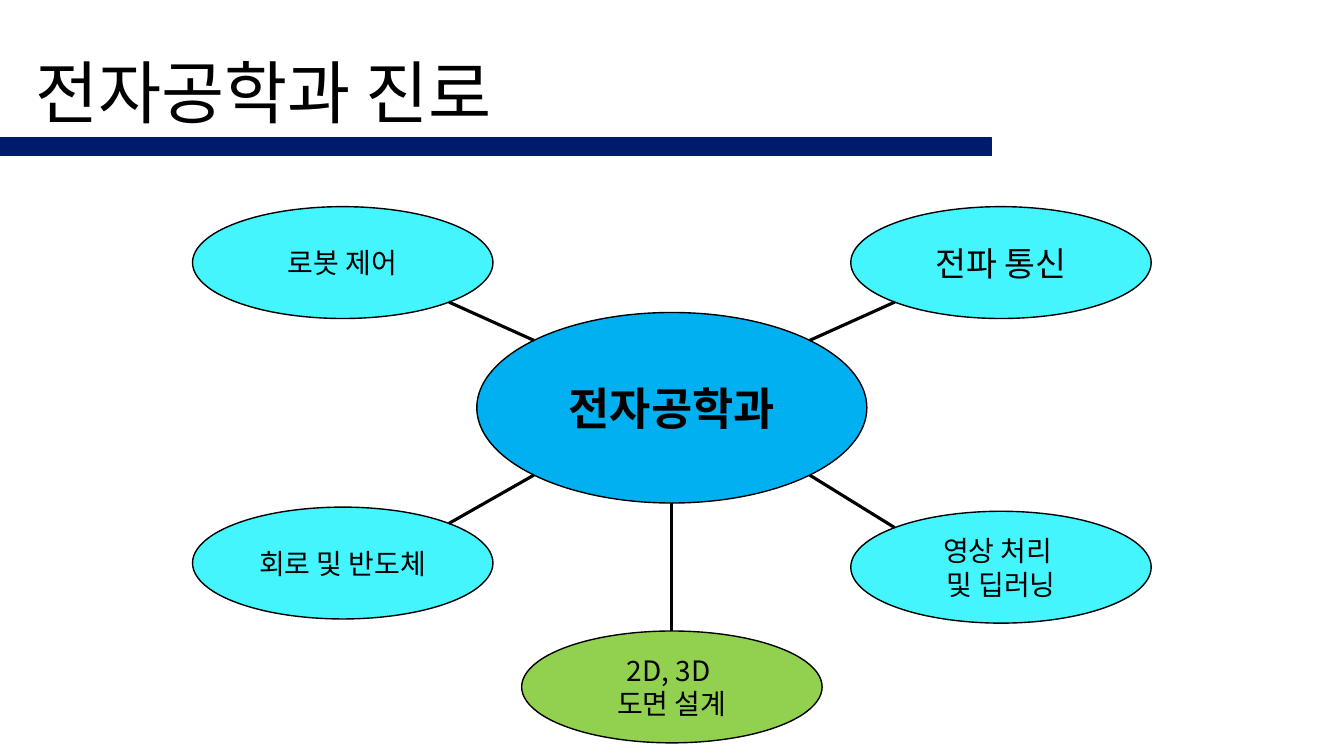
from math import hypot

from lxml.etree import SubElement
from pptx import Presentation
from pptx.dml.color import RGBColor
from pptx.enum.shapes import MSO_CONNECTOR as CXN, MSO_SHAPE as SHAPE
from pptx.enum.text import MSO_ANCHOR as ANCHOR, PP_ALIGN as ALIGN
from pptx.oxml.ns import qn
from pptx.util import Pt

FONT = "Noto Sans CJK KR"
BLACK = RGBColor(0x00, 0x00, 0x00)
NAVY = RGBColor(0x00, 0x1B, 0x6B)
BLUE = RGBColor(0x00, 0xB0, 0xF0)
CYAN = RGBColor(0x44, 0xF5, 0xFE)
GREEN = RGBColor(0x92, 0xD0, 0x50)

HUB = (340.6, 223.2, 278.6, 136.1)
BRANCH_W, BRANCH_H = 214.6, 79.9
LEFT_X, MID_X, RIGHT_X = 137.5, 372.6, 607.7
BRANCHES = [
    (LEFT_X, 147.6, (-1, -1), CYAN, 20, ["로봇 제어"]),
    (RIGHT_X, 147.6, (1, -1), CYAN, 24, ["전파 통신"]),
    (LEFT_X, 362.2, (-1, 1), CYAN, 20, ["회로 및 반도체"]),
    (RIGHT_X, 365.2, (1, 1), CYAN, 20, ["영상 처리 ", "및 딥러닝"]),
    (MID_X, 450.7, (0, 1), GREEN, 20, ["2D, 3D ", "도면 설계"]),
]


def pts(*values):
    return [Pt(v) for v in values]


def write(tf, lines, size, align, bold=False, spacing=1.0):
    tf.word_wrap = True
    tf.vertical_anchor = ANCHOR.MIDDLE
    for i, line in enumerate(lines):
        p = tf.paragraphs[0] if i == 0 else tf.add_paragraph()
        p.alignment = align
        p.line_spacing = spacing
        r = p.add_run()
        r.text = line
        r.font.color.rgb = BLACK
        for name, value in {"name": FONT, "size": Pt(size), "bold": bold}.items():
            setattr(r.font, name, value)
        SubElement(r.font._element, qn("a:ea"), typeface=FONT)


def add_filled(s, kind, box, fill, line):
    sp = s.shapes.add_shape(kind, *pts(*box))
    sp.shadow.inherit = False
    sp.fill.solid()
    sp.fill.fore_color.rgb = fill
    sp.line.color.rgb = line
    sp.line.width = Pt(1)
    return sp


def add_bubble(s, box, fill, lines, size, bold=False):
    sp = add_filled(s, SHAPE.OVAL, box, fill, BLACK)
    write(sp.text_frame, lines, size, ALIGN.CENTER, bold)


def rim_point(box, dx, dy):
    x, y, w, h = box
    n = 2 * hypot(dx, dy)
    return x + w / 2 + w * dx / n, y + h / 2 + h * dy / n


def add_spoke(s, hub, branch, dx, dy):
    ends = rim_point(hub, dx, dy) + rim_point(branch, -dx, -dy)
    c = s.shapes.add_connector(CXN.STRAIGHT, *pts(*ends))
    c.line.color.rgb = BLACK
    c.line.width = Pt(2.25)
    SubElement(c._element.spPr, qn("a:effectLst"))


def add_header(s, x, y, w, h):
    tb = s.shapes.add_textbox(*pts(x + 18, y, 443, h))
    write(tb.text_frame, ["전자공학과 진로"], 49, ALIGN.LEFT, spacing=0.9)
    add_filled(s, SHAPE.RECTANGLE, (x, y + h, w, 12.6), NAVY, NAVY)


def add_career_map(s, hub):
    add_bubble(s, hub, BLUE, ["전자공학과"], 32, True)
    for x, y, direction, fill, size, lines in BRANCHES:
        box = (x, y, BRANCH_W, BRANCH_H)
        add_bubble(s, box, fill, lines, size)
        add_spoke(s, hub, box, *direction)


def main():
    prs = Presentation()
    prs.slide_width, prs.slide_height = pts(960, 540)
    s = prs.slides.add_slide(prs.slide_layouts[6])
    add_header(s, 0, 39.5, 708.5, 59)
    add_career_map(s, HUB)
    prs.save("out.pptx")


if __name__ == "__main__":
    main()
